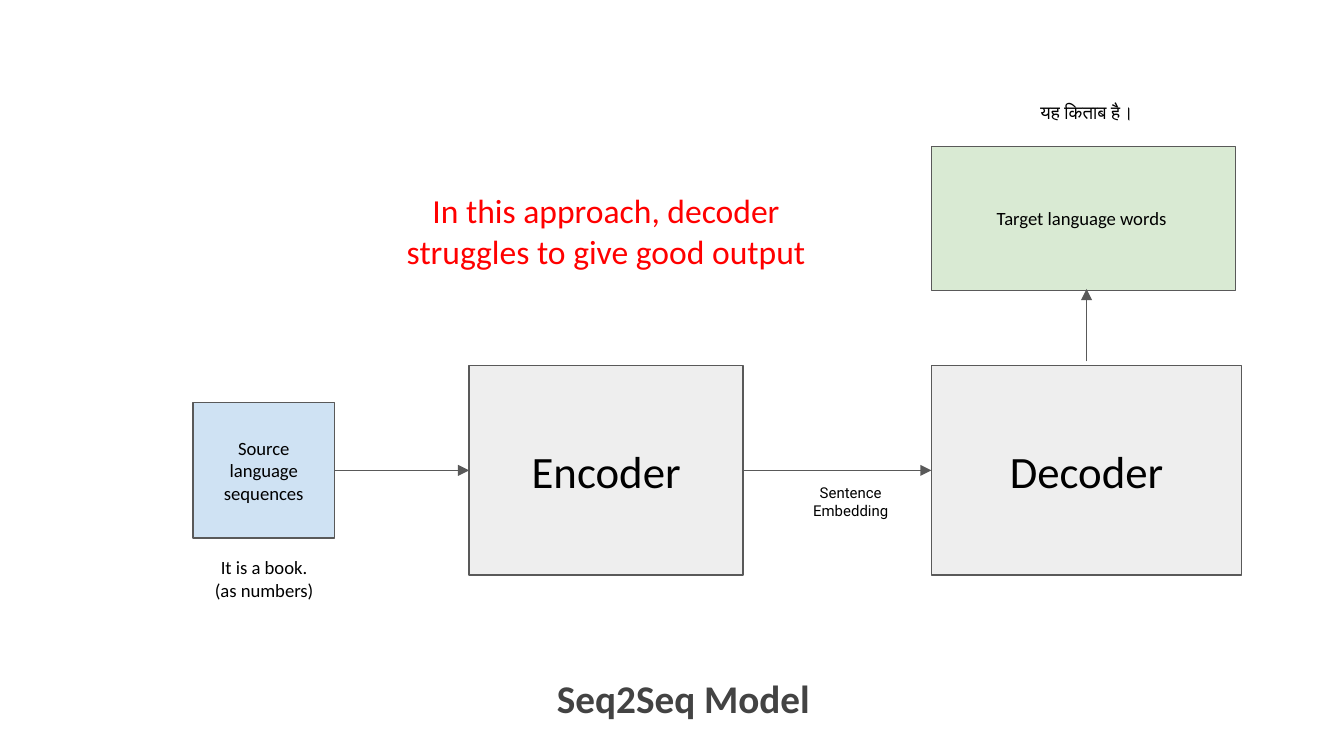
"""Build the Seq2Seq encoder-decoder diagram slide."""
from dataclasses import dataclass
from typing import Optional

from lxml import etree
from pptx import Presentation
from pptx.dml.color import RGBColor
from pptx.enum.shapes import MSO_CONNECTOR, MSO_SHAPE
from pptx.enum.text import MSO_ANCHOR, PP_ALIGN
from pptx.oxml.ns import qn
from pptx.shapes.autoshape import Shape
from pptx.shapes.connector import Connector
from pptx.slide import Slide
from pptx.util import Emu, Pt

RECTANGLE = MSO_SHAPE.RECTANGLE
STRAIGHT = MSO_CONNECTOR.STRAIGHT
TOP, MIDDLE = MSO_ANCHOR.TOP, MSO_ANCHOR.MIDDLE
CENTER = PP_ALIGN.CENTER
LEFT_SIDE, RIGHT_SIDE = 1, 3

BLACK = RGBColor(0x00, 0x00, 0x00)
RED = RGBColor(0xFF, 0x00, 0x00)
TITLE_GRAY = RGBColor(0x43, 0x43, 0x43)
LINE_GRAY = RGBColor(0x59, 0x59, 0x59)
PALE_GRAY = RGBColor(0xEE, 0xEE, 0xEE)
PALE_BLUE = RGBColor(0xCF, 0xE2, 0xF3)
PALE_GREEN = RGBColor(0xD9, 0xEA, 0xD3)

EMU_PER_PX = 4572
PAGE_WIDTH, PAGE_HEIGHT = 2000, 1125
INSET = 20
LINE_WIDTH = Pt(0.75)


@dataclass(frozen=True)
class Label:
    """Text with its frame in px and its format."""

    text: str
    left: int
    top: int
    width: int
    height: int
    size: int = 10
    font: str = "Calibri"
    color: RGBColor = BLACK
    bold: bool = False
    anchor: MSO_ANCHOR = MIDDLE
    fill: Optional[RGBColor] = None


ENCODER = Label("Encoder", 698, 544, 408, 312, size=24, fill=PALE_GRAY)
DECODER = Label("Decoder", 1386, 544, 462, 312, size=24, fill=PALE_GRAY)
SOURCE = Label("Source language sequences", 287, 599, 211, 202, fill=PALE_BLUE)
TARGET = Label("Target language words ", 1386, 218, 453, 214, fill=PALE_GREEN)
CAPTIONS = (
    Label("Sentence Embedding", 1161, 700, 210, 110, size=8, font="Roboto", anchor=TOP),
    Label("यह किताब है।", 1287, 112, 660, 110, font="Cambria"),
    Label("It is a book.\n(as numbers)", 63, 806, 660, 110),
    Label("In this approach, decoder struggles to give good output",
          547, 263, 710, 170, size=18, color=RED, anchor=TOP),
    Label("Seq2Seq Model", 792, 984, 450, 102, size=21, color=TITLE_GRAY,
          bold=True, anchor=TOP),
)


def px(length: int) -> Emu:
    """Turn px into EMU."""
    return Emu(length * EMU_PER_PX)


def write_text(box: Shape, label: Label) -> None:
    """Fill a box with the centred paragraphs of a label."""
    frame = box.text_frame
    margins = {f"margin_{side}": px(INSET) for side in ("left", "top", "right", "bottom")}
    for name, value in {"word_wrap": True, "vertical_anchor": label.anchor, **margins}.items():
        setattr(frame, name, value)
    frame.text = label.text
    formats = {"size": Pt(label.size), "name": label.font, "bold": label.bold}
    for para in frame.paragraphs:
        para.alignment = CENTER
        for span in para.runs:
            for name, value in formats.items():
                setattr(span.font, name, value)
            span.font.color.rgb = label.color


def draw_label(page: Slide, label: Label) -> Shape:
    """Draw a filled rectangle, or a plain text box when there is no fill."""
    frame = [px(n) for n in (label.left, label.top, label.width, label.height)]
    if label.fill is None:
        box = page.shapes.add_textbox(*frame)
    else:
        box = page.shapes.add_shape(RECTANGLE, *frame)
        box.shadow.inherit = False
        box.fill.solid()
        box.fill.fore_color.rgb = label.fill
        box.line.color.rgb = LINE_GRAY
        box.line.width = LINE_WIDTH
    write_text(box, label)
    return box


def draw_arrow(page: Slide, start: tuple[int, int], end: tuple[int, int]) -> Connector:
    """Draw a straight arrow between two points in px."""
    arrow = page.shapes.add_connector(STRAIGHT, *(px(n) for n in (*start, *end)))
    arrow.line.color.rgb = LINE_GRAY
    arrow.line.width = LINE_WIDTH
    etree.SubElement(arrow.line._get_or_add_ln(), qn("a:tailEnd"), type="triangle")
    etree.SubElement(arrow._element.spPr, qn("a:effectLst"))
    return arrow


def join_boxes(page: Slide, first: Shape, second: Shape) -> None:
    """Join the right side of one box to the left side of another."""
    arrow = draw_arrow(page, (0, 0), (0, 0))
    arrow.begin_connect(first, RIGHT_SIDE)
    arrow.end_connect(second, LEFT_SIDE)


def main() -> None:
    """Build and save the deck."""
    deck = Presentation()
    deck.slide_width, deck.slide_height = px(PAGE_WIDTH), px(PAGE_HEIGHT)
    page = deck.slides.add_slide(deck.slide_layouts[6])
    encoder, decoder, source, _ = (
        draw_label(page, label) for label in (ENCODER, DECODER, SOURCE, TARGET)
    )
    join_boxes(page, encoder, decoder)
    join_boxes(page, source, encoder)
    draw_arrow(page, (1617, 538), (1617, 430))
    for caption in CAPTIONS:
        draw_label(page, caption)
    deck.save("out.pptx")


if __name__ == "__main__":
    main()
